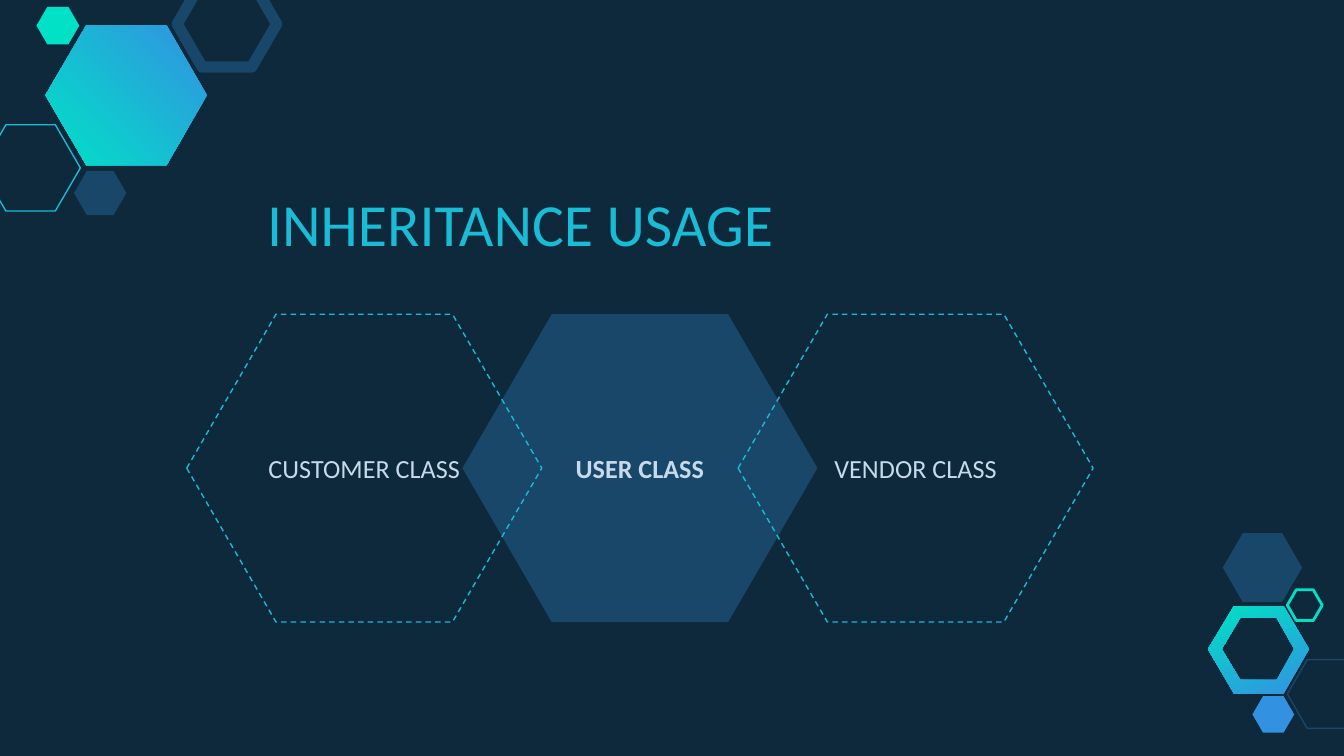
from pptx import Presentation
from pptx import util as u
from pptx.dml.color import RGBColor
from pptx.enum import dml, shapes, text

BACKGROUND = RGBColor(0x0E, 0x29, 0x3C)
NAVY = RGBColor(0x18, 0x47, 0x69)
CYAN = RGBColor(0x19, 0xBB, 0xD5)
MINT = RGBColor(0x00, 0xE1, 0xC6)
BLUE = RGBColor(0x32, 0x92, 0xE1)
PALE = RGBColor(0xC6, 0xDA, 0xEC)

deck = Presentation()
deck.slide_width, deck.slide_height = u.Cm(25.4), u.Cm(14.29)
page = deck.slides.add_slide(deck.slide_layouts[6])
page.background.fill.solid()
page.background.fill.fore_color.rgb = BACKGROUND


def add_hexagon(left, top, width, height, slant, fill=None, line=None, weight=0.75):
    hexagon = page.shapes.add_shape(
        shapes.MSO_SHAPE.HEXAGON, u.Cm(left), u.Cm(top), u.Cm(width), u.Cm(height))
    hexagon.adjustments[0] = slant
    hexagon.shadow.inherit = False
    if fill:
        hexagon.fill.solid()
        hexagon.fill.fore_color.rgb = fill
    else:
        hexagon.fill.background()
    if line:
        hexagon.line.color.rgb = line
        hexagon.line.width = u.Pt(weight)
    else:
        hexagon.line.fill.background()
    return hexagon


def write_text(shape, words, size, color, align, anchor, bold=False):
    frame = shape.text_frame
    frame.word_wrap = True
    frame.vertical_anchor = anchor
    frame.margin_left = frame.margin_right = u.Cm(0.25)
    frame.margin_top = frame.margin_bottom = u.Cm(0.25)
    frame.text = words
    para = frame.paragraphs[0]
    para.alignment = align
    para.font.name = "Calibri"
    para.font.size = u.Pt(size)
    para.font.bold = bold
    para.font.color.rgb = color


# Gradient hexagons: corner ring, then the large solid one (angle, contours)
ring = [
    [(23.32, 13.11), (22.83, 12.27), (23.32, 11.46),
     (24.26, 11.46), (24.74, 12.27), (24.26, 13.11)],
    [(23.44, 12.85), (24.13, 12.85), (24.46, 12.27),
     (24.13, 11.68), (23.44, 11.68), (23.09, 12.27)],
]
solid = [[(3.91, 1.8), (3.15, 3.12), (1.63, 3.12),
          (0.86, 1.8), (1.63, 0.48), (3.15, 0.48)]]
for angle, contours in [(116, ring), (225, solid)]:
    builder = None
    for contour in contours:
        points = [(u.Cm(x), u.Cm(y)) for x, y in contour]
        if builder is None:
            builder = page.shapes.build_freeform(*points[0])
        else:
            builder.move_to(*points[0])
        builder.add_line_segments(points[1:], close=True)
    outline = builder.convert_to_shape()
    outline.shadow.inherit = False
    outline.line.fill.background()
    outline.fill.gradient()
    outline.fill.gradient_angle = angle
    for stop, color in zip(outline.fill.gradient_stops, (BLUE, MINT)):
        stop.color.rgb = color

# Small corner hexagons: left, top, width, height, fill, line, weight
decorations = [
    (-0.36, 2.36, 1.88, 1.63, None, CYAN, 0.75),
    (1.4, 3.23, 0.99, 0.84, NAVY, None, 0),
    (3.35, -0.36, 1.88, 1.63, None, NAVY, 6),
    (0.69, 0.13, 0.81, 0.71, MINT, None, 0),
    (24.33, 12.47, 1.5, 1.3, None, NAVY, 0.75),
    (23.67, 13.16, 0.79, 0.69, BLUE, None, 0),
    (23.11, 10.08, 1.5, 1.3, NAVY, None, 0),
    (24.33, 11.15, 0.66, 0.58, None, MINT, 1.5),
]
for left, top, width, height, fill, line, weight in decorations:
    add_hexagon(left, top, width, height, 0.29, fill, line, weight)

# Title
title = page.shapes.add_textbox(u.Cm(4.8), u.Cm(3.33), u.Cm(13.74), u.Cm(1.8))
write_text(title, "INHERITANCE USAGE", 32, CYAN,
           text.PP_ALIGN.LEFT, text.MSO_ANCHOR.BOTTOM)

# Overlapping classes, the shared base class at the back
classes = [(1, "USER CLASS"), (0, "CUSTOMER CLASS"), (2, "VENDOR CLASS")]
for column, name in classes:
    is_base = column == 1
    hexagon = add_hexagon(3.53 + 5.21 * column, 5.94, 6.71, 5.82, 0.29,
                          NAVY if is_base else None, None if is_base else CYAN)
    if not is_base:
        hexagon.line.dash_style = dml.MSO_LINE.DASH
    write_text(hexagon, name, 14, PALE, text.PP_ALIGN.CENTER,
               text.MSO_ANCHOR.MIDDLE, bold=is_base)

deck.save("out.pptx")
